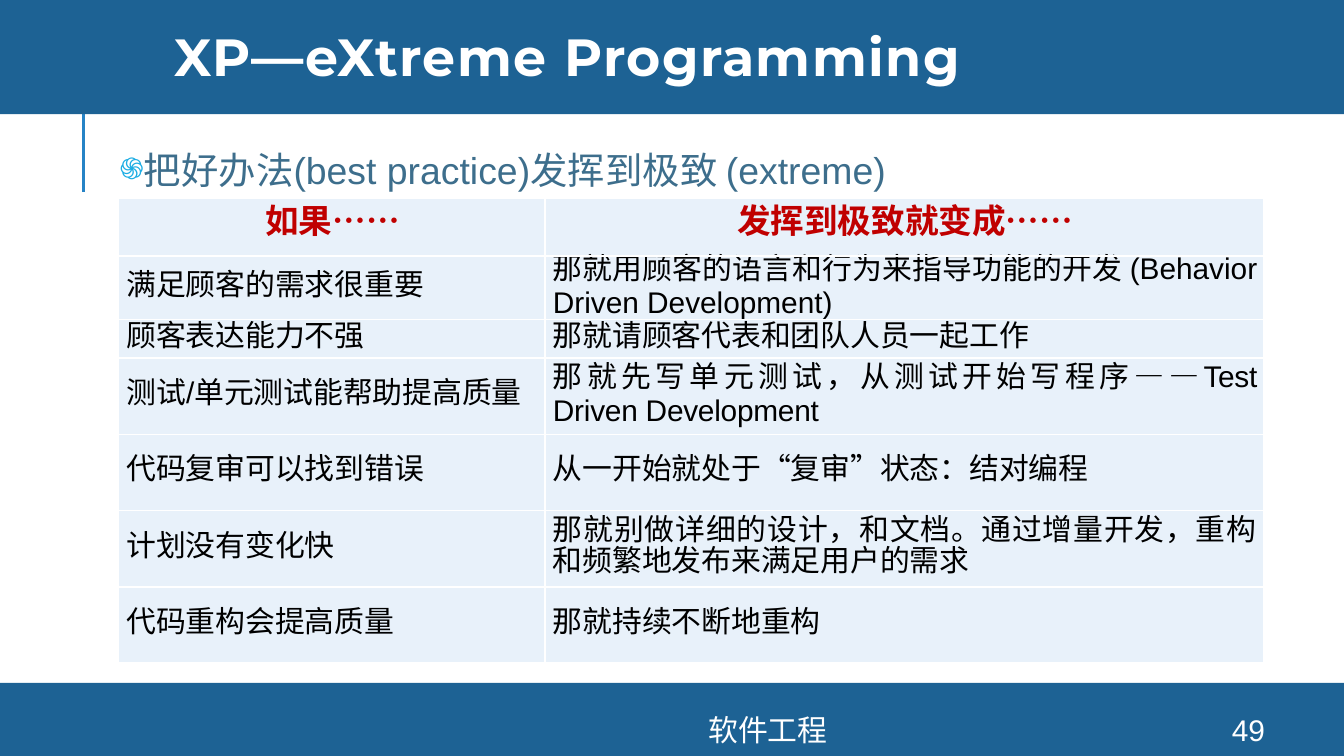
from lxml import etree
from pptx import Presentation, util as u
from pptx.dml.color import RGBColor
from pptx.enum import lang, shapes, text
from pptx.oxml import ns

Cm, Pt = u.Cm, u.Pt
HUES = {"band": "1D6294", "rule": "2683C6", "white": "FFFFFF", "lead": "3D6E8C",
        "mark": "1CADE4", "head": "C00000", "ink": "000000", "cell": "E8F1FA"}
ALIGN, MID = text.PP_ALIGN, text.MSO_ANCHOR.MIDDLE
COLS = [8.06, 13.58]
ROWS = [1.09, 0.89, 0.73] + [1.44] * 4
HEADS = ["如果……", "发挥到极致就变成……"]
PAIRS = [
    ["满足顾客的需求很重要",
     "那就用顾客的语言和行为来指导功能的开发 (Behavior Driven Development)"],
    ["顾客表达能力不强", "那就请顾客代表和团队人员一起工作"],
    ["测试/单元测试能帮助提高质量",
     [("那", 0), ("就先写单元测试，从测试开始写程序", -10), ("—", -100),
      ("—Test Driven Development", -10)]],
    ["代码复审可以找到错误", "从一开始就处于“复审”状态：结对编程"],
    ["计划没有变化快",
     "那就别做详细的设计，和文档。通过增量开发，重构和频繁地发布来满足用户的需求"],
    ["代码重构会提高质量", "那就持续不断地重构"],
]


def apply(item, form):
    for key, val in form.items():
        setattr(item, key, val)


def add(root, tag, **attrs):
    return etree.SubElement(root, ns.qn(tag), attrs)


def tint(root, hue):
    add(root, "a:srgbClr", val=HUES[hue])


def write(para, words, hue, size, form, bold=False, face="Arial"):
    apply(para, form)
    runs = [(words, 0)] if isinstance(words, str) else words
    for part, gap in runs:
        run = para.add_run()
        run.text = part
        apply(run.font, {"name": face, "size": Pt(size), "bold": bold,
                         "language_id": lang.MSO_LANGUAGE_ID.SIMPLIFIED_CHINESE})
        run.font.color.rgb = RGBColor.from_string(HUES[hue])
        if gap:
            run.font._element.set("spc", str(gap))


def label(slide, box, form):
    frame = slide.shapes.add_textbox(*map(Cm, box)).text_frame
    apply(frame, {"word_wrap": True, **form})
    return frame.paragraphs[0]


def band(slide, box):
    bar = slide.shapes.add_shape(shapes.MSO_SHAPE.RECTANGLE, *map(Cm, box))
    bar.shadow.inherit = False
    bar.fill.solid()
    bar.fill.fore_color.rgb = RGBColor.from_string(HUES["band"])
    bar.line.fill.background()


def header(slide, box):
    left, top, wide, high = box
    band(slide, box)
    para = label(slide, (left + 3.05, top, 21.56, high + 0.15), {"vertical_anchor": MID})
    write(para, [("XP—eXtreme Programming", 80)], "white", 28,
          {"line_spacing": 0.8}, True, "Montserrat")


def rule(slide, box):
    left, top, wide, high = box
    line = slide.shapes.add_connector(shapes.MSO_CONNECTOR.STRAIGHT, Cm(left),
                                      Cm(top + high), Cm(left + wide), Cm(top))
    line.line.width = Pt(1.5)
    line.line.color.rgb = RGBColor.from_string(HUES["rule"])
    add(line._element.spPr, "a:effectLst")


def lead(slide, box):
    sides = ("margin_left", "margin_top", "margin_right", "margin_bottom")
    para = label(slide, box, dict.fromkeys(sides, Cm(0.13)))
    props = para._p.get_or_add_pPr()
    props.set("marL", str(Cm(0.18)))
    props.set("indent", str(Cm(-1.19)))
    tint(add(props, "a:buClr"), "mark")
    add(props, "a:buSzPct", val="80000")
    add(props, "a:buFont", typeface="Arial")
    add(props, "a:buChar", char="֍")
    write(para, "把好办法(best practice)发挥到极致 (extreme)", "lead", 20,
          {"alignment": ALIGN.JUSTIFY, "line_spacing": 1.1})


def border(cell):
    props = cell._tc.get_or_add_tcPr()
    for side in "LRTB":
        edge = add(props, "a:ln" + side, w=str(Pt(1)))
        tint(add(edge, "a:solidFill"), "white")


def grid(slide, box):
    table = slide.shapes.add_table(len(ROWS), len(COLS), *map(Cm, box)).table
    for col, wide in zip(table.columns, COLS):
        col.width = Cm(wide)
    for row, high in zip(table.rows, ROWS):
        row.height = Cm(high)
    for y, pair in enumerate([HEADS] + PAIRS):
        for x, words in enumerate(pair):
            cell = table.cell(y, x)
            apply(cell, {"vertical_anchor": MID, "margin_left": Cm(0.15),
                         "margin_right": Cm(0.12), "margin_top": 0, "margin_bottom": 0})
            border(cell)
            cell.fill.solid()
            cell.fill.fore_color.rgb = RGBColor.from_string(HUES["cell"])
            hue, size, align = (("ink", 16, ALIGN.JUSTIFY) if y
                                else ("head", 18, ALIGN.CENTER))
            form = {"alignment": align, "line_spacing": Pt(17)}
            if x and y:
                form["space_after"] = Pt(1.5)
            write(cell.text_frame.paragraphs[0], words, hue, size, form, not y)


def footer(slide, box):
    left, top, wide, high = box
    band(slide, box)
    for words, start, span in (("软件工程", 6.63, 15.77), ("49", 22.58, 2.03)):
        para = label(slide, (left + start, top + 0.59, span, 0.58),
                     {"vertical_anchor": MID})
        write(para, words, "white", 16, {"alignment": ALIGN.CENTER})


def main():
    deck = Presentation()
    apply(deck, {"slide_width": Cm(25.4), "slide_height": Cm(14.29)})
    slide = deck.slides.add_slide(deck.slide_layouts[6])
    rule(slide, (1.58, 1.73, 0, 1.9))
    header(slide, (0, 0, 25.4, 2.16))
    lead(slide, (2.13, 2.57, 21.77, 10.57))
    grid(slide, (2.24, 3.75, sum(COLS), sum(ROWS)))
    footer(slide, (0, 12.91, 25.4, 1.38))
    deck.save("out.pptx")


if __name__ == "__main__":
    main()
